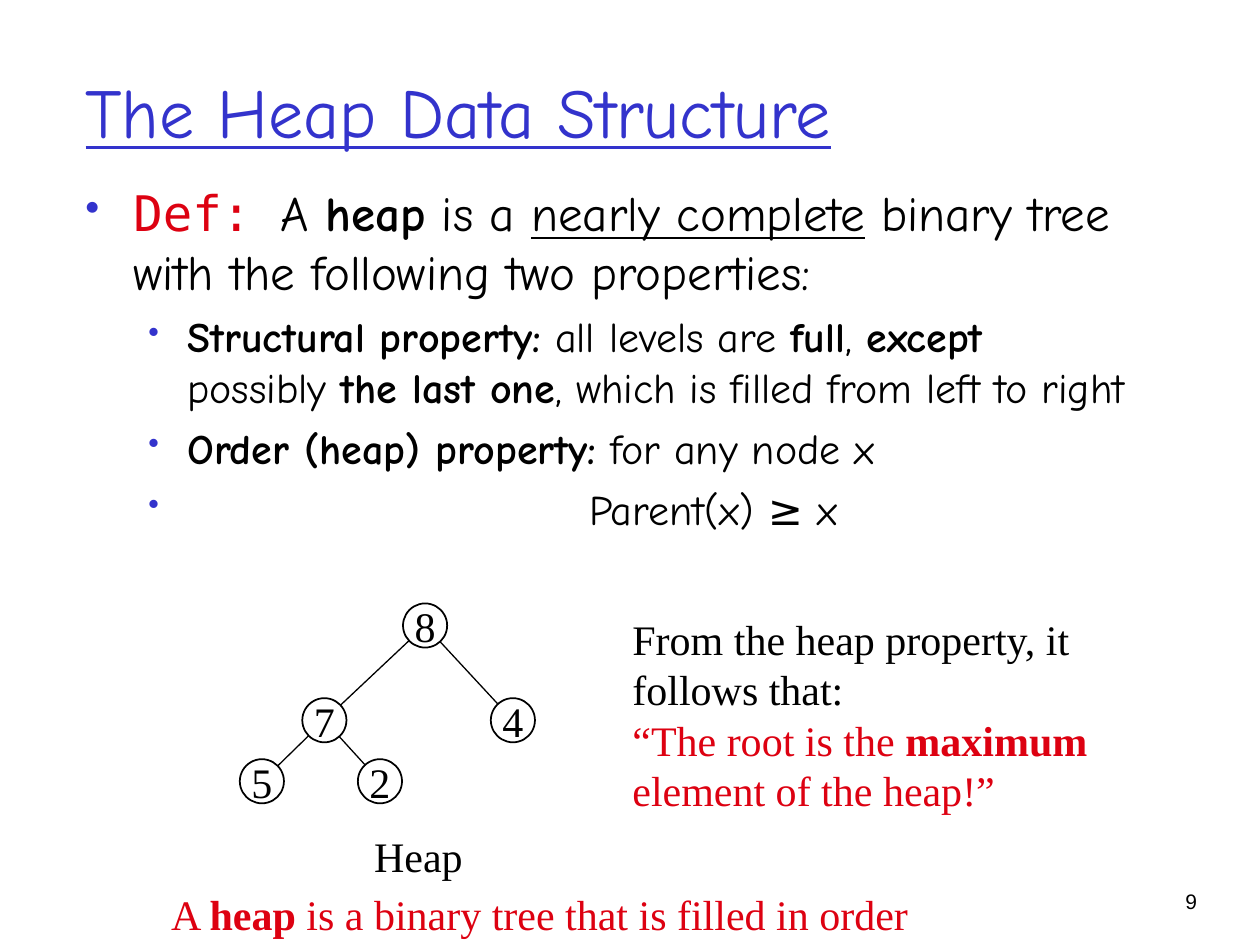
from lxml.etree import SubElement
from pptx import Presentation
from pptx.dml.color import RGBColor
from pptx.enum.shapes import MSO_CONNECTOR, MSO_SHAPE
from pptx.enum.text import MSO_ANCHOR, PP_ALIGN
from pptx.oxml.ns import qn
from pptx.util import Cm, Pt

BLACK = RGBColor(0x00, 0x00, 0x00)
WHITE = RGBColor(0xFF, 0xFF, 0xFF)
BLUE = RGBColor(0x33, 0x33, 0xCC)
RED = RGBColor(0xDD, 0x01, 0x11)
COMIC = "Comic Neue"
MONO = "DejaVu Sans Mono"
SERIF = "Times New Roman"
NODE = 0.89
TREE = {"8": (8.57, 12.61), "7": (6.54, 14.52), "4": (10.34, 14.52),
        "5": (5.28, 15.75), "2": (7.66, 15.75)}
LINKS = ["87", "84", "75", "72"]


def write(par, text, font=SERIF, size=24, color=BLACK, under=False):
    for i, part in enumerate(text.split("*")):
        if part:
            run = par.add_run()
            run.text = part
            run.font.name = font
            run.font.size = Pt(size)
            run.font.color.rgb = color
            run.font.bold = i % 2 == 1
            run.font.underline = under


class Deck:
    def __init__(self):
        self.file = Presentation()
        self.file.slide_width = Cm(25.4)
        self.file.slide_height = Cm(19.05)
        self.slide = self.file.slides.add_slide(self.file.slide_layouts[5])
        self.shapes = self.slide.shapes

    def title(self, text, left, top, width, height):
        head = self.shapes.title
        head.left, head.top = Cm(left), Cm(top)
        head.width, head.height = Cm(width), Cm(height)
        head.text_frame.vertical_anchor = MSO_ANCHOR.MIDDLE
        par = head.text_frame.paragraphs[0]
        par.alignment = PP_ALIGN.LEFT
        write(par, text, font=COMIC, size=40, color=BLUE, under=True)

    def box(self, left, top, width, height, wrap=True):
        box = self.shapes.add_textbox(Cm(left), Cm(top), Cm(width), Cm(height))
        box.text_frame.word_wrap = wrap
        return box.text_frame

    def label(self, text, left, top, width, height, align=PP_ALIGN.LEFT,
              wrap=True, **style):
        par = self.box(left, top, width, height, wrap).paragraphs[0]
        par.alignment = align
        write(par, text, **style)

    def bullet(self, par, indent, hang, scale, tab=None):
        props = par._p.get_or_add_pPr()
        props.set("marL", str(Cm(indent)))
        props.set("indent", str(-Cm(hang)))
        tint = SubElement(props, qn("a:buClr"))
        SubElement(tint, qn("a:srgbClr"), val=str(BLUE))
        SubElement(props, qn("a:buSzPct"), val=str(scale * 1000))
        SubElement(props, qn("a:buChar"), char="•")
        if tab:
            tabs = SubElement(props, qn("a:tabLst"))
            SubElement(tabs, qn("a:tab"), pos=str(Cm(tab)), algn="l")

    def link(self, start, end):
        ends = [Cm(n) for n in (*start, *end)]
        line = self.shapes.add_connector(MSO_CONNECTOR.STRAIGHT, *ends)
        line.line.color.rgb = BLACK
        line.line.width = Pt(0.75)
        SubElement(line._element.spPr, qn("a:effectLst"))

    def node(self, text, center):
        left, top = (Cm(n - NODE / 2) for n in center)
        node = self.shapes.add_shape(MSO_SHAPE.OVAL, left, top, Cm(NODE), Cm(NODE))
        node.shadow.inherit = False
        node.fill.solid()
        node.fill.fore_color.rgb = WHITE
        node.line.color.rgb = BLACK
        node.line.width = Pt(1)
        frame = node.text_frame
        frame.word_wrap = False
        frame.vertical_anchor = MSO_ANCHOR.MIDDLE
        frame.paragraphs[0].alignment = PP_ALIGN.CENTER
        write(frame.paragraphs[0], text)


def main():
    deck = Deck()
    deck.title("The Heap Data Structure", 1.47, 0.64, 21.59, 3.18)

    body = deck.box(1.47, 3.56, 21.59, 12.9)
    par = body.paragraphs[0]
    deck.bullet(par, 0.97, 0.97, 85)
    write(par, "Def: ", font=MONO, size=28, color=RED)
    write(par, "A *heap* is a ", font=COMIC, size=28)
    write(par, "nearly complete", font=COMIC, size=28, under=True)
    write(par, " binary tree with the following two properties:", font=COMIC, size=28)
    for text, tab in [
        ("*Structural property:* all levels are *full*, *except* possibly "
         "*the last one*, which is filled from left to right", None),
        ("*Order (heap) property:* for any node x", None),
        ("\tParent(x) ≥ x", 10.16),
    ]:
        par = body.add_paragraph()
        par.level = 1
        par.space_before = Pt(6)
        deck.bullet(par, 2.06, 0.79, 75, tab)
        write(par, text, font=COMIC)

    for start, end in LINKS:
        deck.link(TREE[start], TREE[end])
    for text, center in TREE.items():
        deck.node(text, center)
    deck.label("Heap", 7.29, 16.61, 2.29, 1.27, align=PP_ALIGN.CENTER, wrap=False)

    note = deck.box(12.5, 12.24, 10.44, 4.32)
    write(note.paragraphs[0], "From the heap property, it follows that:")
    for text in ["“The root is the *maximum*", "element of the heap!”"]:
        write(note.add_paragraph(), text, color=RED)

    deck.label("A *heap* is a binary tree that is filled in order",
               3.2, 17.78, 17.25, 1.27, color=RED)
    deck.label("9", 22.35, 17.78, 2.03, 0.81, align=PP_ALIGN.RIGHT,
               font="Arial", size=12)
    deck.file.save("out.pptx")


if __name__ == "__main__":
    main()
